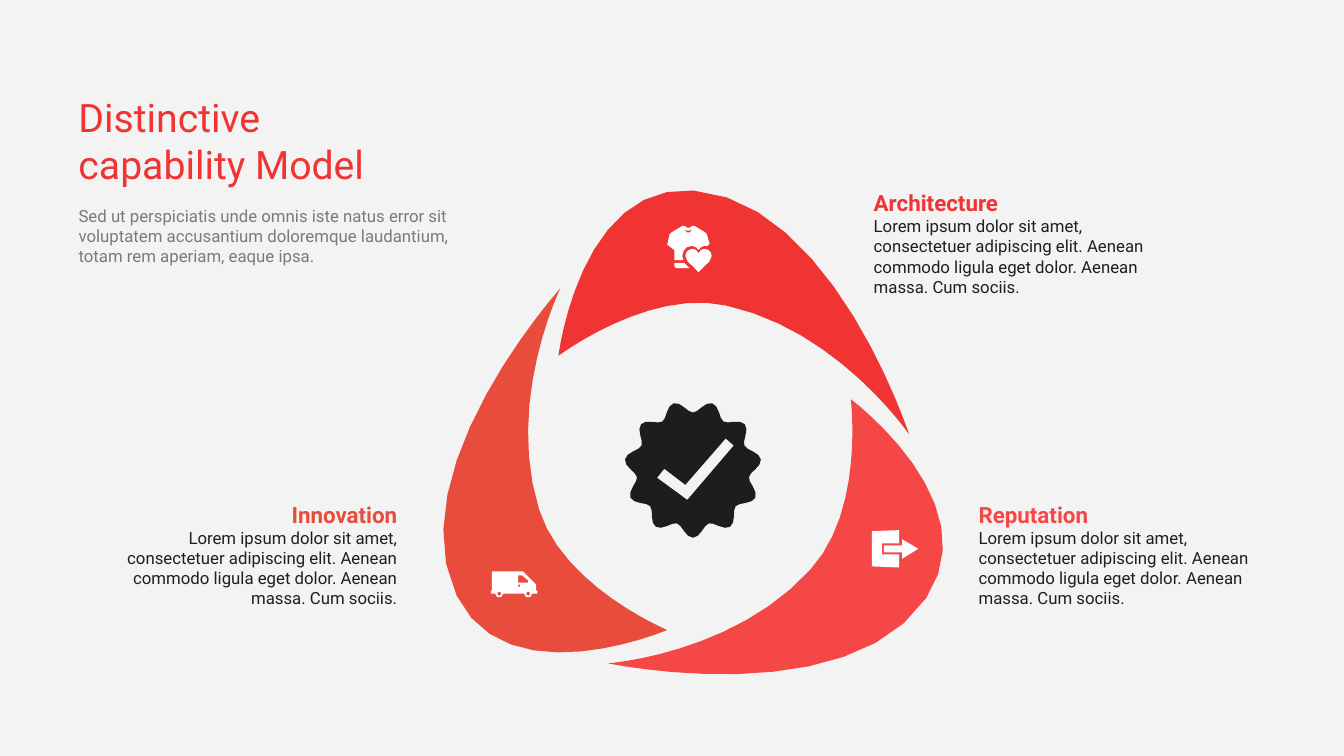
import math

import pptx
import pptx.dml.color
import pptx.enum.text
import pptx.oxml
import pptx.oxml.ns
import pptx.util

Pt = pptx.util.Pt
RGBColor = pptx.dml.color.RGBColor
Anchor = pptx.enum.text.MSO_ANCHOR
Align = pptx.enum.text.PP_ALIGN

PAPER = RGBColor(0xF3, 0xF3, 0xF3)
WHITE = RGBColor(0xFF, 0xFF, 0xFF)
INK = RGBColor(0x20, 0x1E, 0x1E)
BADGE = RGBColor(0x1E, 0x1C, 0x1C)
RED = RGBColor(0xF0, 0x34, 0x34)
ROSE = RGBColor(0xF6, 0x47, 0x47)
CORAL = RGBColor(0xE7, 0x4C, 0x3C)

INTRO = ("Sed ut perspiciatis unde omnis iste natus error sit voluptatem accusantium "
         "doloremque laudantium, totam rem aperiam, eaque ipsa.")
LOREM = ("Lorem ipsum dolor sit amet, consectetuer adipiscing elit. Aenean commodo "
         "ligula eget dolor. Aenean massa. Cum sociis.")


def flatten(start, *steps, cuts=3):
    """Turn lines (x, y) and cubic curves (x1, y1, x2, y2, x, y) into points."""
    points = [start]
    for step in steps:
        if len(step) == 2:
            points.append(step)
            continue
        a, b, c, d = points[-1], step[:2], step[2:4], step[4:]
        for i in range(1, cuts + 1):
            t = i / cuts
            u = 1 - t
            points.append(tuple(u**3 * a[k] + 3 * u * u * t * b[k] + 3 * u * t * t * c[k]
                                + t**3 * d[k] for k in (0, 1)))
    return points


def petal(tip, c1, crown, c2, tail, c3, inner, c4):
    """A blade whose curves run straight into its two sharp ends."""
    return flatten(tip, tip + c1 + crown, c2 + tail + tail,
                   tail + c3 + inner, c4 + tip + tip, cuts=12)


def ring(cx, cy, radius, wave=0, lobes=0, steps=8):
    """A circle, or a scalloped one with a lobe pointing down."""
    points = []
    for i in range(steps):
        a = 2 * math.pi * i / steps
        r = radius + wave * math.cos(lobes * a)
        points.append((cx + r * math.sin(a), cy + r * math.cos(a)))
    return points


class Deck:
    font = "Roboto"

    def __init__(self, prs):
        self.s = prs.slides.add_slide(prs.slide_layouts[6])
        fill = self.s.background.fill
        fill.solid()
        fill.fore_color.rgb = PAPER

    def text(self, box, lines, anchor=Anchor.TOP, align=Align.LEFT):
        """One paragraph; lines are (text, size, colour, bold, opacity %)."""
        tf = self.s.shapes.add_textbox(*map(Pt, box)).text_frame
        form = {"word_wrap": True, "vertical_anchor": anchor,
                "auto_size": pptx.enum.text.MSO_AUTO_SIZE.SHAPE_TO_FIT_TEXT}
        for name, value in form.items():
            setattr(tf, name, value)
        p = tf.paragraphs[0]
        p.alignment = align
        for i, (text, size, colour, bold, opacity) in enumerate(lines):
            if i:
                p.add_line_break()
            r = p.add_run()
            r.text = text
            for name, value in {"name": self.font, "size": Pt(size), "bold": bold}.items():
                setattr(r.font, name, value)
            r.font.color.rgb = colour
            if opacity < 100:
                clr = r._r.find(".//" + pptx.oxml.ns.qn("a:srgbClr"))
                clr.append(pptx.oxml.parse_xml(
                    f'<a:alpha {pptx.oxml.ns.nsdecls("a")} val="{opacity * 1000}"/>'))

    def topic(self, left, top, title, colour, align=Align.LEFT):
        self.text((left, top, 229, 85),
                  [(title, 16, colour, True, 100), (LOREM, 12, INK, False, 100)],
                  Anchor.MIDDLE, align)

    def outline(self, colour, *contours):
        """Closed contours in one shape; inner ones cut holes."""
        builder = None
        for contour in contours:
            first, *rest = [(Pt(x), Pt(y)) for x, y in contour]
            if builder is None:
                builder = self.s.shapes.build_freeform(*first)
            else:
                builder.move_to(*first)
            builder.add_line_segments(rest, close=True)
        sp = builder.convert_to_shape()
        sp.shadow.inherit = False
        sp.fill.solid()
        sp.fill.fore_color.rgb = colour
        sp.line.fill.background()


def add_petals(deck):
    deck.outline(ROSE, petal((607.7, 285.1), (707, 359.3), (661.7, 427), (605.5, 509.8),
                             (434.2, 473.8), (524.2, 467.3), (578.9, 406.8), (617.8, 364.3)))
    deck.outline(CORAL, petal((476.6, 450), (362.2, 499), (326.2, 425.5), (283, 336.2),
                              (400.3, 205.9), (360.7, 286.6), (385.2, 364.3), (402.5, 419)))
    deck.outline(RED, petal((398.9, 254.2), (414, 130.3), (495.4, 136.1), (594.7, 143.3),
                            (649.4, 310.3), (598.3, 235.4), (518.4, 218.2), (463, 205.9)))


def add_van(deck):
    y, rear, front, r = 424.1, 356.6, 377.3, 2.9
    wheels = []
    for x in (rear, front):
        wheels += [(x - r, y), (x - r, y + 3.8, x + r, y + 3.8, x + r, y)]
    body = flatten((350.6, y), *wheels, (383.8, y), (383.8, 421.9), (383, 421.9),
                   (383, 417.6), (373.7, 408.2), (351.4, 408.2), (351.4, 421.9),
                   (350.6, 421.9))
    window = [(370.1, 416.2), (370.1, 411.1), (373, 411.1), (377.3, 414.7), (377.3, 416.2)]
    handle = [(370.1, 417.6), (371.5, 417.6), (371.5, 419), (370.1, 419)]
    deck.outline(WHITE, body, window, handle, ring(rear, y, 1.4), ring(front, y, 1.4))


def add_shirt(deck):
    shirt = flatten(
        (481.7, 185.8), (488.2, 185.8), (487.4, 182.9),
        (487.4, 178.9, 490.3, 175.7, 493.9, 175.7), (496, 175.7, 497.9, 176.8, 499, 178.6),
        (500.4, 176.2, 502.9, 175.2, 505.4, 175.7), (506.9, 174.2), (504.9, 167.4),
        (504, 166.2), (496.1, 161.4), (494.7, 161.3),
        (492.8, 163.3, 490.8, 163.3, 488.9, 161.3), (487.5, 161.4), (479.5, 166.2),
        (478.3, 167.6), (476.6, 174.8), (481.7, 178.6))
    collar = flatten((494.6, 163.4), (494, 167.3, 489.5, 167.3, 488.9, 163.4),
                     (490.8, 165.4, 492.8, 165.4, 494.6, 163.4))
    hem = [(481.7, 187.9), (488.9, 187.9), (492.5, 191.5), (482.9, 191.5), (481.7, 190)]
    heart = flatten(
        (499, 181.1), (499.8, 179, 501.4, 177.8, 503.3, 177.8),
        (506.2, 177.8, 508.4, 180, 508.4, 182.9), (508.4, 187.5, 502, 190.2, 499, 194.4),
        (496, 190.2, 489.6, 187.5, 489.6, 182.9), (489.6, 180, 491.8, 177.8, 494.7, 177.8),
        (496.6, 177.8, 498.2, 179, 499, 181.1))
    deck.outline(WHITE, shirt, collar, hem, heart)


def add_exit(deck):
    door = [(642.2, 388.1), (630, 388.1), (630, 396), (642.2, 396), (642.2, 405.4),
            (622.8, 404.6), (622.8, 379.4), (642.2, 378.7)]
    arrow = [(644.4, 385.2), (655.9, 392), (644.4, 399.2), (644.4, 394.6),
             (631.4, 394.6), (631.4, 389.5), (644.4, 389.5)]
    deck.outline(WHITE, door, arrow)


def add_badge(deck):
    tick = [(491, 357.1), (469.4, 341.3), (474.5, 334.8), (489.6, 346.3),
            (518.4, 313.2), (524.2, 318.2)]
    deck.outline(BADGE, ring(495, 335.1, 44.7, 4.3, 11, 88), tick)


def main():
    prs = pptx.Presentation()
    prs.slide_width, prs.slide_height = Pt(960), Pt(540)
    deck = Deck(prs)
    deck.text((49, 62.6, 305.3, 74.9),
              [(line, 28, RED, False, 100) for line in ("Distinctive", "capability Model")],
              Anchor.BOTTOM)
    deck.text((49, 143.3, 294.5, 51.1), [(INTRO, 12, INK, False, 56)])
    deck.topic(691.9, 353.5, "Reputation", ROSE)
    deck.topic(617, 131, "Architecture", RED)
    deck.topic(61.9, 353.5, "Innovation", CORAL, Align.RIGHT)
    add_petals(deck)
    add_van(deck)
    add_shirt(deck)
    add_exit(deck)
    add_badge(deck)
    prs.save("out.pptx")


if __name__ == "__main__":
    main()
